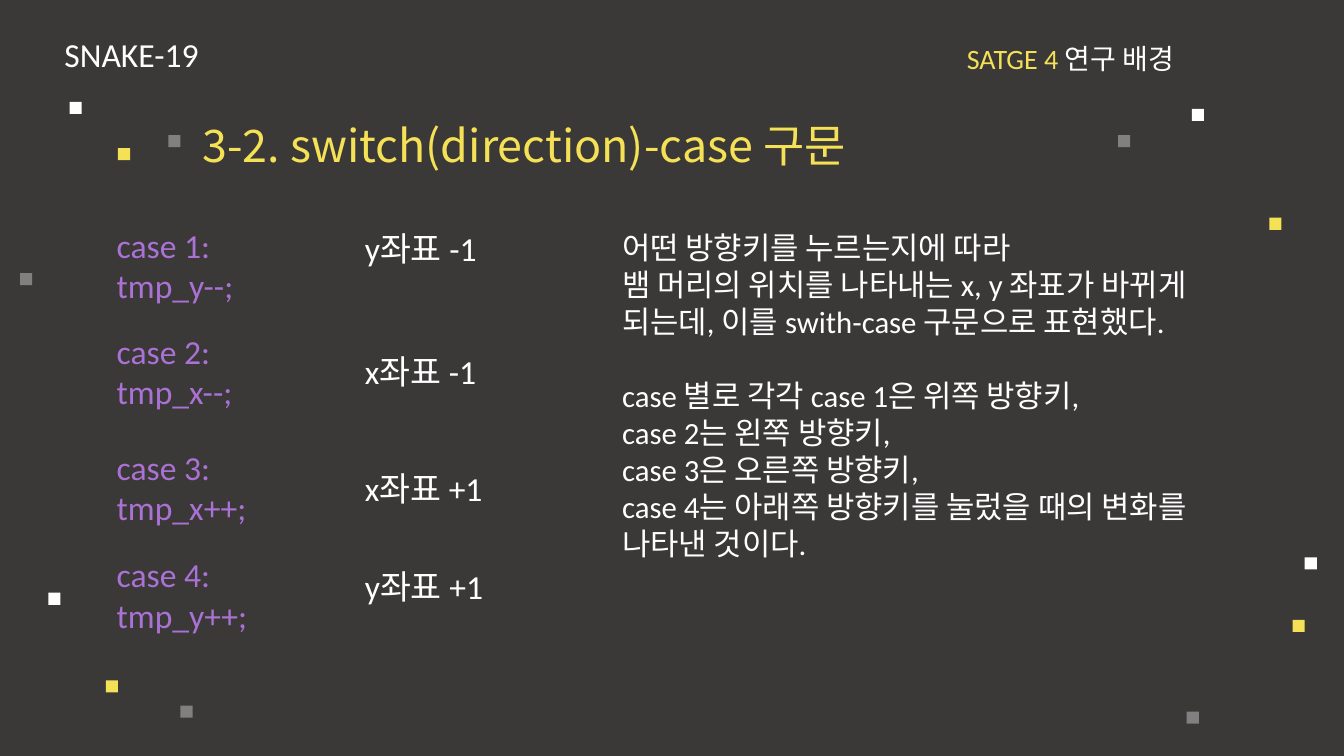
from pptx import Presentation
from pptx.dml.color import RGBColor
from pptx.enum.shapes import MSO_SHAPE
from pptx.enum.text import MSO_AUTO_SIZE
from pptx.util import Inches, Pt

WHITE, YELLOW, GRAY, PURPLE = "FFFFFF", "F4E156", "808080", "AA72D4"
BACKGROUND = "3B3838"
LATIN, KOREAN = "Calibri", "Noto Sans CJK KR"

PIXEL_SIZE = 0.12
PIXELS = {
    WHITE: [(0.69, 1.01), (0.48, 5.88), (11.82, 1.08), (12.94, 5.53)],
    YELLOW: [(1.17, 1.47), (1.05, 6.75), (12.82, 6.15), (12.59, 2.16)],
    GRAY: [(1.67, 1.34), (0.2, 2.71), (1.79, 7), (11.09, 1.34), (11.77, 7.06)],
}

CASES = [
    (2.18, ["case 1:", "tmp_y--;"], 2.21, "y좌표 -1"),
    (3.23, ["case 2:", "tmp_x--;"], 3.43, "x좌표 -1"),
    (4.38, ["case 3:", "tmp_x++;"], 4.59, "x좌표 +1"),
    (5.45, ["case 4:", "tmp_y++;"], 5.57, "y좌표 +1"),
]

EXPLANATION = [
    "어떤 방향키를 누르는지에 따라",
    "뱀 머리의 위치를 나타내는 x, y 좌표가 바뀌게",
    "되는데, 이를 swith-case 구문으로 표현했다.",
    "case 별로 각각 case 1은 위쪽 방향키,",
    "case 2는 왼쪽 방향키,",
    "case 3은 오른쪽 방향키,",
    "case 4는 아래쪽 방향키를 눌렀을 때의 변화를",
    "나타낸 것이다.",
]
SECOND_PART = 3


def color(value):
    return RGBColor.from_string(value)


def add_text(page, left, top, width, height, lines, size, fill, font=LATIN, wrap=True):
    box = page.shapes.add_textbox(Inches(left), Inches(top), Inches(width), Inches(height))
    frame = box.text_frame
    frame.word_wrap = wrap
    frame.auto_size = MSO_AUTO_SIZE.SHAPE_TO_FIT_TEXT
    frame.text = "\n".join(lines)
    for para in frame.paragraphs:
        para.font.size = Pt(size)
        para.font.name = font
        para.font.color.rgb = color(fill)
    return frame


def main():
    deck = Presentation()
    deck.slide_width, deck.slide_height = Inches(13.33), Inches(7.5)
    page = deck.slides.add_slide(deck.slide_layouts[6])
    page.background.fill.solid()
    page.background.fill.fore_color.rgb = color(BACKGROUND)

    for fill, places in PIXELS.items():
        for left, top in places:
            pixel = page.shapes.add_shape(
                MSO_SHAPE.RECTANGLE, Inches(left), Inches(top),
                Inches(PIXEL_SIZE), Inches(PIXEL_SIZE))
            pixel.shadow.inherit = False
            pixel.fill.solid()
            pixel.fill.fore_color.rgb = color(fill)
            pixel.line.fill.background()

    add_text(page, 0.54, 0.29, 1.55, 0.5, ["SNAKE-19"], 24, WHITE, wrap=False)
    stage = add_text(page, 9.49, 0.36, 2.59, 0.44, ["SATGE 4 "], 20, YELLOW, wrap=False)
    span = stage.paragraphs[0].add_run()
    span.text = "연구 배경"
    span.font.color.rgb = color(WHITE)
    add_text(page, 1.91, 1.12, 7.38, 0.64, ["3-2. switch(direction)-case 구문"],
             32, YELLOW, KOREAN, wrap=False)

    for code_top, code, effect_top, effect in CASES:
        add_text(page, 1.06, code_top, 1.7, 0.91, code, 24, PURPLE)
        add_text(page, 3.52, effect_top, 1.7, 0.5, [effect], 24, WHITE)

    explanation = add_text(page, 5.93, 2.22, 7.41, 3.43, EXPLANATION, 22, WHITE)
    explanation.margin_left = Inches(0.24)
    explanation.paragraphs[SECOND_PART].space_before = Pt(26.5)

    deck.save("out.pptx")


if __name__ == "__main__":
    main()
